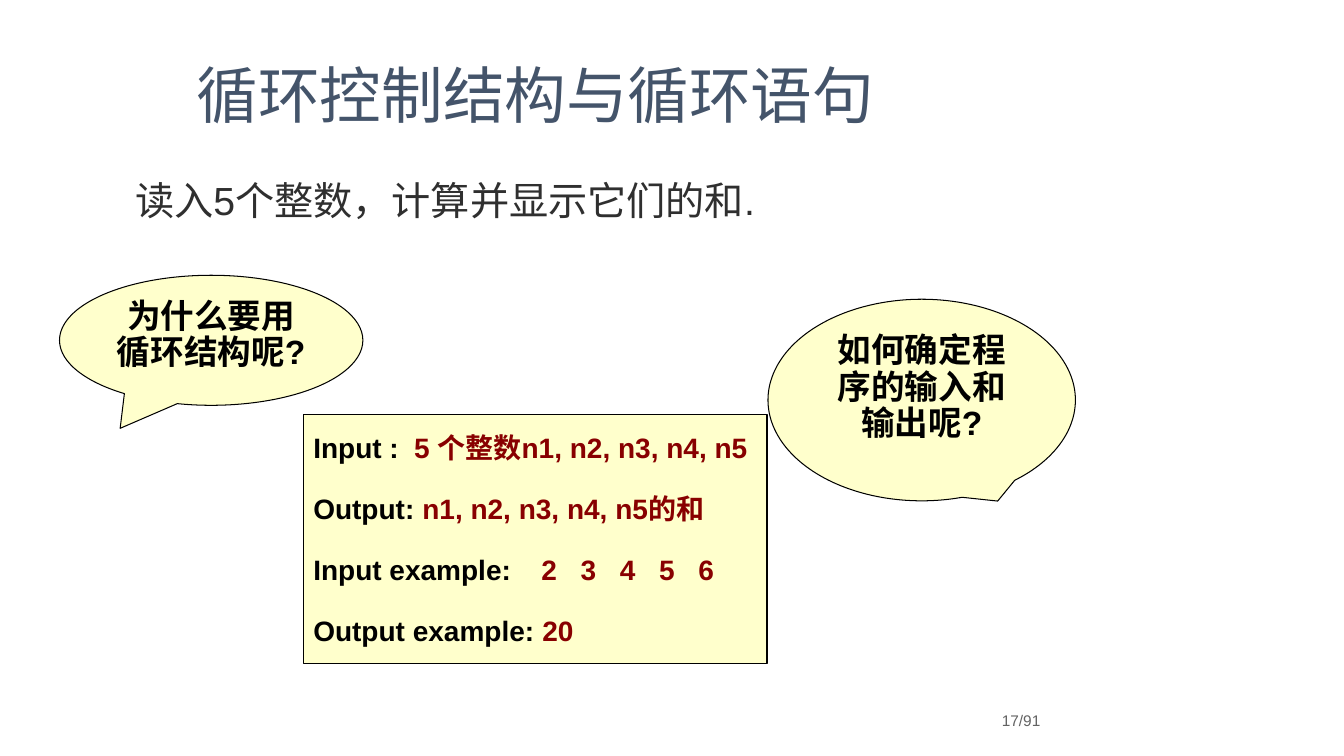
from dataclasses import dataclass

from lxml.etree import SubElement
from pptx import Presentation
from pptx.dml.color import RGBColor as RGB
from pptx.enum.shapes import MSO_SHAPE as Shape
from pptx.enum.text import MSO_ANCHOR as Anchor, MSO_AUTO_SIZE as Auto, PP_ALIGN as Align
from pptx.oxml.ns import qn
from pptx.util import Pt


@dataclass(frozen=True)
class Theme:
    face: str = "Arial"
    head_face: str = "Noto Sans CJK SC"
    head: RGB = RGB(0x44, 0x54, 0x6A)
    body: RGB = RGB(0x2F, 0x2F, 0x2F)
    ink: RGB = RGB(0, 0, 0)
    value: RGB = RGB(0x88, 0, 0)
    page: RGB = RGB(0x63, 0x63, 0x63)
    paper: RGB = RGB(0xFF, 0xFF, 0xCC)
    head_size: int = 44
    body_size: int = 28
    call_size: int = 24
    note_size: int = 20
    page_size: int = 11


THEME = Theme()
LINES = [
    ("Input :\t", "5 个整数n1, n2, n3, n4, n5", [72]),
    ("Output: ", "n1, n2, n3, n4, n5的和", []),
    ("Input example:\t", "2\t3\t4\t5\t6", [163 + 28 * i for i in range(5)]),
    ("Output example: ", "20", []),
]


def place(shape, box):
    shape.left, shape.top, shape.width, shape.height = map(Pt, box)


def style(para, size, color=None, face=THEME.face, bold=False):
    font = para.font
    font.name, font.size, font.bold = face, Pt(size), bold
    if color is not None:
        font.color.rgb = color


def set_tabs(para, stops):
    if stops:
        tabs = SubElement(para._p.get_or_add_pPr(), qn("a:tabLst"))
        for stop in stops:
            SubElement(tabs, qn("a:tab"), pos=str(Pt(stop)), algn="l")


def add_card(slide, kind, box):
    card = slide.shapes.add_shape(kind, *map(Pt, box))
    card.shadow.inherit = False
    card.fill.solid()
    card.fill.fore_color.rgb = THEME.paper
    card.line.color.rgb = THEME.ink
    card.line.width = Pt(0.75)
    card.text_frame.word_wrap = True
    return card


def add_title(slide, box, text):
    title = slide.shapes.title
    place(title, box)
    frame = title.text_frame
    frame.text = text
    frame.auto_size = Auto.NONE
    frame.vertical_anchor = Anchor.MIDDLE
    para = frame.paragraphs[0]
    para.alignment = Align.CENTER
    style(para, THEME.head_size, THEME.head, THEME.head_face)


def add_task(slide, box, text):
    body = slide.placeholders[1]
    place(body, box)
    frame = body.text_frame
    frame.text = text
    frame.auto_size = Auto.NONE
    frame.vertical_anchor = Anchor.MIDDLE
    para = frame.paragraphs[0]
    props = para._p.get_or_add_pPr()
    props.set("marL", "0")
    props.set("indent", "0")
    para.line_spacing = 0.9
    para.space_before = Pt(0)
    SubElement(props, qn("a:buNone"))
    style(para, THEME.body_size, THEME.body)


def add_call(slide, box, text, tip):
    call = add_card(slide, Shape.OVAL_CALLOUT, box)
    call.adjustments[0], call.adjustments[1] = tip
    frame = call.text_frame
    frame.text = text
    frame.vertical_anchor = Anchor.TOP
    para = frame.paragraphs[0]
    para.alignment = Align.CENTER
    para.line_spacing = 0.9
    style(para, THEME.call_size, THEME.ink, bold=True)


def add_note(slide, box, lines):
    frame = add_card(slide, Shape.RECTANGLE, box).text_frame
    frame.margin_right = 0
    frame.vertical_anchor = Anchor.MIDDLE
    for i, (label, value, stops) in enumerate(lines):
        para = frame.add_paragraph() if i else frame.paragraphs[0]
        para.alignment = Align.LEFT
        para.line_spacing = Pt(24)
        if i:
            para.space_before = Pt(19.4)
        set_tabs(para, stops)
        style(para, THEME.note_size, bold=True)
        for text, color in ((label, THEME.ink), (value, THEME.value)):
            run = para.add_run()
            run.text = text
            run.font.color.rgb = color


def add_page(slide, box, text):
    frame = slide.shapes.add_textbox(*map(Pt, box)).text_frame
    frame.word_wrap = True
    frame.vertical_anchor = Anchor.MIDDLE
    frame.text = text
    para = frame.paragraphs[0]
    para.alignment = Align.CENTER
    para.line_spacing = 0.9
    style(para, THEME.page_size, THEME.page)


def main():
    deck = Presentation()
    deck.slide_width, deck.slide_height = Pt(960), Pt(540)
    slide = deck.slides.add_slide(deck.slide_layouts[1])
    add_title(slide, (31.7, 22.3, 702, 90), "循环控制结构与循环语句")
    add_call(slide, (548.6, 213.8, 219.6, 144), "如何确定程序的输入和输出呢?", (0.247, 0.501))
    add_task(slide, (89.3, 116.6, 483.1, 56.9), "读入5个整数，计算并显示它们的和.")
    add_note(slide, (216.7, 295.9, 331.2, 177.8), LINES)
    add_call(slide, (42.5, 196.6, 216.7, 92.9), "为什么要用循环结构呢?", (-0.3, 0.677))
    add_page(slide, (690.5, 504, 77.8, 22.3), "17/91")
    deck.save("out.pptx")


if __name__ == "__main__":
    main()
